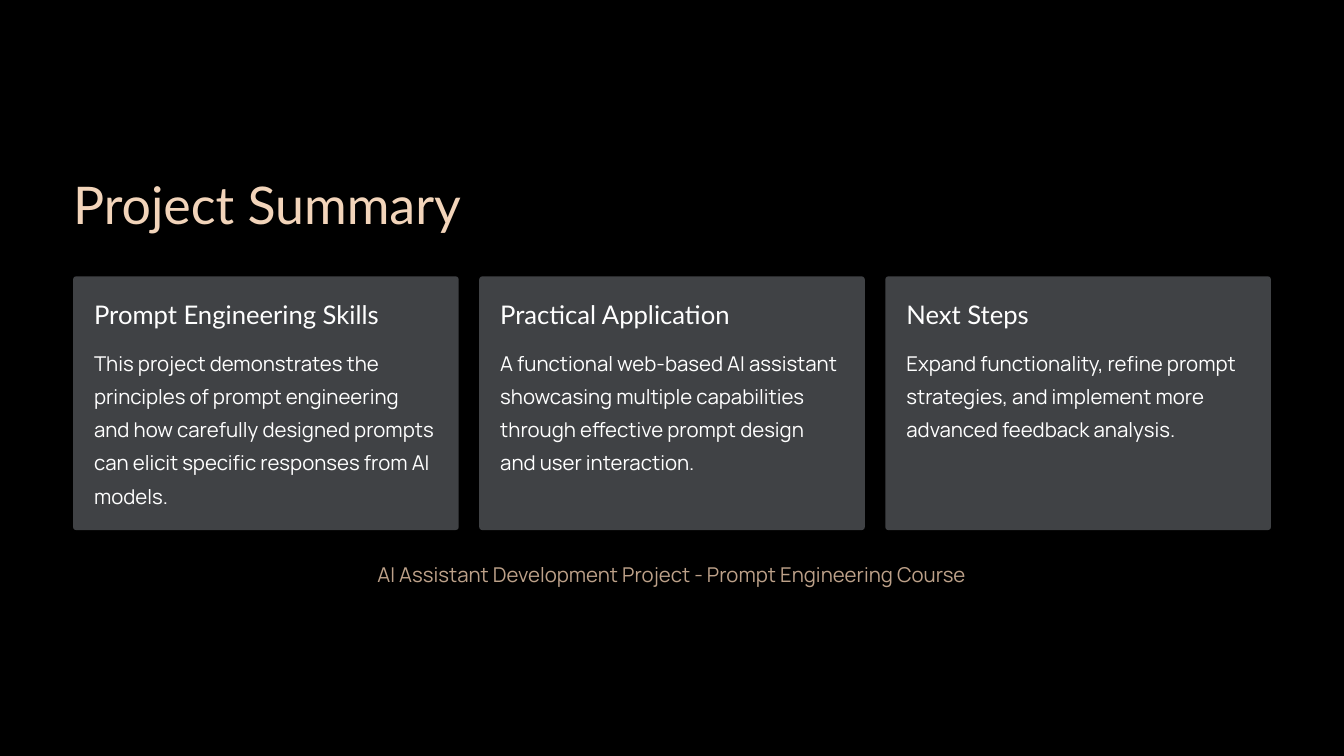
import pptx
import pptx.util
import pptx.dml.color
import pptx.enum.shapes
import pptx.enum.text

Inches = pptx.util.Inches
Pt = pptx.util.Pt
Align = pptx.enum.text.PP_ALIGN

COLORS = {
    "back": "000000",
    "title": "F2D4BA",
    "card": "404245",
    "text": "FFFFFF",
    "foot": "BDA189",
}

CARDS = [
    ("Prompt Engineering Skills",
     "This project demonstrates the principles of prompt engineering and how "
     "carefully designed prompts can elicit specific responses from AI models."),
    ("Practical Application",
     "A functional web-based AI assistant showcasing multiple capabilities "
     "through effective prompt design and user interaction."),
    ("Next Steps",
     "Expand functionality, refine prompt strategies, and implement more "
     "advanced feedback analysis."),
]

# Card grid, in inches
LEFT, TOP = 0.87, 3.29
WIDTH, HEIGHT = 4.59, 3.02
STEP, PAD = 4.835, 0.25

# Text styles: font, size, line pitch
TITLE = ("Lato", 44.5, 55.5)
HEAD = ("Lato", 22, 27.5)
BODY = ("Manrope", 17.5, 28.5)


def paint(fill, color):
    fill.solid()
    fill.fore_color.rgb = pptx.dml.color.RGBColor.from_string(COLORS[color])


def write(shape, text, style, color, align=Align.LEFT):
    name, size, pitch = style
    frame = shape.text_frame
    frame.word_wrap = True
    frame.auto_size = pptx.enum.text.MSO_AUTO_SIZE.NONE
    frame.vertical_anchor = pptx.enum.text.MSO_ANCHOR.TOP
    frame.margin_left = frame.margin_right = 0
    frame.margin_top = frame.margin_bottom = 0
    para = frame.paragraphs[0]
    para.alignment = align
    para.line_spacing = Pt(pitch)
    para.space_before = Pt(0)
    run = para.add_run()
    run.text = text
    run.font.name = name
    run.font.size = Pt(size)
    paint(run.font.fill, color)


def add_title(slide, text):
    title = slide.shapes.title
    title.left, title.top = Inches(LEFT), Inches(2.02)
    title.width, title.height = Inches(6.2), Inches(0.78)
    write(title, text, TITLE, "title")


def add_text(slide, box, text, style, color, align=Align.LEFT):
    shape = slide.shapes.add_textbox(*map(Inches, box))
    write(shape, text, style, color, align)


def add_card(slide, left, head, body):
    card = slide.shapes.add_shape(
        pptx.enum.shapes.MSO_SHAPE.ROUNDED_RECTANGLE,
        Inches(left), Inches(TOP), Inches(WIDTH), Inches(HEIGHT))
    card.adjustments[0] = 0.012
    card.shadow.inherit = False
    paint(card.fill, "card")
    card.line.fill.background()
    inner = WIDTH - 2 * PAD
    add_text(slide, (left + PAD, TOP + PAD, inner, 0.39), head, HEAD, "text")
    add_text(slide, (left + PAD, 4.07, inner, 1.98), body, BODY, "text")


def main():
    deck = pptx.Presentation()
    deck.slide_width, deck.slide_height = Inches(16), Inches(9)
    slide = deck.slides.add_slide(deck.slide_layouts.get_by_name("Title Only"))
    paint(slide.background.fill, "back")

    add_title(slide, "Project Summary")

    # Three equal cards
    for i, (head, body) in enumerate(CARDS):
        add_card(slide, LEFT + i * STEP, head, body)

    # Closing line
    add_text(slide, (LEFT, 6.59, 14.26, 0.4),
             "AI Assistant Development Project - Prompt Engineering Course",
             BODY, "foot", Align.CENTER)

    deck.save("out.pptx")


if __name__ == "__main__":
    main()
